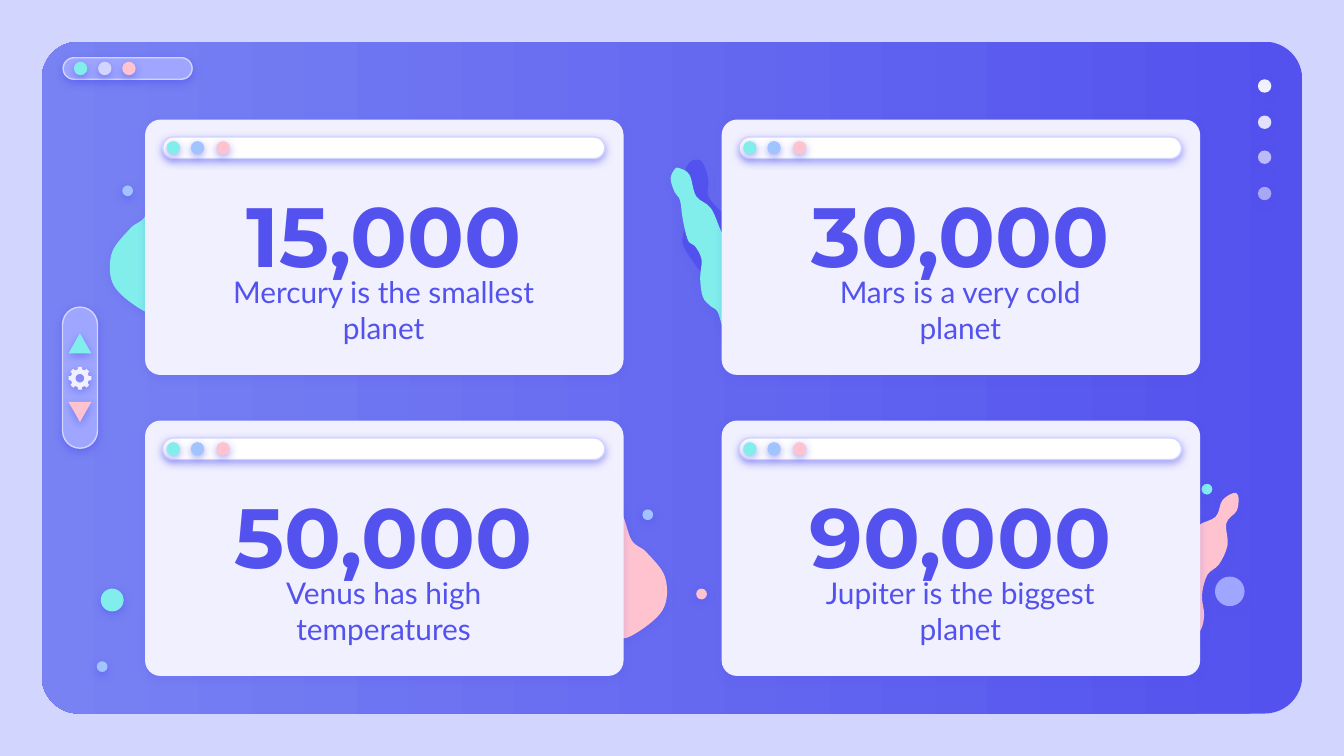
"""Builds a slide of four planet figures, each in a small browser window."""
import math
from dataclasses import dataclass

from lxml import etree
from pptx import Presentation
from pptx import util as u
from pptx.dml.color import RGBColor
from pptx.enum import shapes, text
from pptx.oxml.ns import qn

SHAPE = shapes.MSO_SHAPE


@dataclass(frozen=True)
class Theme:
    indigo: str = "5352EE"
    violet: str = "7882F3"
    lilac: str = "9EA6FF"
    sky: str = "A1C3FF"
    mist: str = "D2D6FF"
    pale: str = "F1F0FF"
    white: str = "FFFFFF"
    aqua: str = "81EEEB"
    pink: str = "FFC3D0"
    number_font: str = "Montserrat"
    number_size: int = 45
    caption_font: str = "Lato"
    caption_size: int = 16


T = Theme()

CARDS = [
    (108, 89, "15,000", "Mercury is the smallest planet"),
    (108, 313, "50,000", "Venus has high temperatures"),
    (537, 89, "30,000", "Mars is a very cold planet"),
    (537, 313, "90,000", "Jupiter is the biggest planet"),
]
BLOB_WIDTH = 103
BLOB = [
    (14, 0), (9, 2), (10, 16), (20, 28), (19, 49), (27, 67), (38, 77), (43, 96),
    (41, 115), (45, 130), (58, 140), (73, 139), (96, 120), (98, 96), (84, 77),
    (73, 68), (64, 45), (46, 30), (30, 22), (24, 7),
]
BACK_WAVE = [
    (514, 120), (522, 120), (527, 133), (527, 146), (536, 157), (542, 162),
    (547, 175), (546, 184), (554, 197), (563, 207), (563, 223), (561, 237),
    (563, 244), (560, 249), (553, 251), (540, 244), (536, 230), (534, 219),
    (521, 202), (508, 181), (512, 165), (517, 148), (513, 139), (510, 128),
]
FRONT_WAVE = [
    (505, 125), (513, 130), (518, 146), (529, 155), (537, 173), (546, 190),
    (558, 207), (557, 215), (557, 230), (560, 235), (565, 247), (562, 254),
    (557, 258), (545, 256), (538, 244), (534, 232), (529, 228), (523, 221),
    (521, 207), (522, 193), (517, 183), (512, 179), (508, 163), (506, 149),
    (502, 143), (499, 133), (502, 126),
]


def px(n):
    return u.Emu(round(n * 9144))


def rgb(color):
    return RGBColor.from_string(color)


def set_alpha(color_el, percent):
    etree.SubElement(color_el, qn("a:alpha"), val=str(percent * 1000))


def paint(sp, color, shadow=50, line=None, alpha=100):
    sp.fill.solid()
    sp.fill.fore_color.rgb = rgb(color)
    if alpha < 100:
        set_alpha(sp._element.spPr.find(".//" + qn("a:srgbClr")), alpha)
    if line:
        sp.line.color.rgb = rgb(line)
        sp.line.width = u.Pt(0.75)
    else:
        sp.line.fill.background()
    sp.shadow.inherit = False
    effects = sp._element.spPr.find(qn("a:effectLst"))
    outer = etree.SubElement(
        effects, qn("a:outerShdw"), blurRad=str(u.Pt(4.5)), dist=str(u.Pt(1.5)),
        dir="5400000", algn="bl", rotWithShape="0")
    set_alpha(etree.SubElement(outer, qn("a:srgbClr"), val=T.indigo), shadow)


def add_preset(s, kind, x, y, w, h, color, radius=None, rotation=0, **style):
    sp = s.shapes.add_shape(kind, px(x), px(y), px(w), px(h))
    if radius is not None:
        sp.adjustments[0] = radius
    sp.rotation = rotation
    paint(sp, color, **style)
    return sp


def add_dot(s, x, y, color, size=10, **style):
    return add_preset(s, SHAPE.OVAL, x, y, size, size, color, **style)


def add_pill(s, x, y, w, h, color, rotation=0):
    return add_preset(s, SHAPE.ROUNDED_RECTANGLE, x, y, w, h, color,
                      radius=0.5, rotation=rotation, line=T.mist)


def add_dot_row(s, xs, y, middle):
    for x, color in zip(xs, (T.aqua, middle, T.pink)):
        add_dot(s, x, y, color)


def add_outline(s, contours, color, shadow):
    (first, *rest) = [[(px(x), px(y)) for x, y in c] for c in contours]
    fb = s.shapes.build_freeform(*first[0], scale=1.0)
    fb.add_line_segments(first[1:], close=True)
    for contour in rest:
        fb.move_to(*contour[0])
        fb.add_line_segments(contour[1:], close=True)
    sp = fb.convert_to_shape()
    paint(sp, color, shadow=shadow)
    return sp


def round_off(sp):
    outline = sp._element.spPr.find(".//" + qn("a:path"))
    points = [(int(pt.get("x")), int(pt.get("y"))) for pt in outline.iter(qn("a:pt"))]
    for el in outline[1:]:
        outline.remove(el)
    n = len(points)
    for i in range(n):
        a, b, c, d = (points[(i + k) % n] for k in (-1, 0, 1, 2))
        leave = [q + (r - p) / 6 for p, q, r in zip(a, b, c)]
        arrive = [r - (v - q) / 6 for q, r, v in zip(b, c, d)]
        curve = etree.SubElement(outline, qn("a:cubicBezTo"))
        for x, y in (leave, arrive, c):
            etree.SubElement(curve, qn("a:pt"), x=str(round(x)), y=str(round(y)))
    etree.SubElement(outline, qn("a:close"))


def add_blob(s, x, y, color, scale=1.0, mirrored=False):
    points = [(x + scale * (BLOB_WIDTH - a if mirrored else a), y + scale * b) for a, b in BLOB]
    round_off(add_outline(s, [points], color, shadow=22))


def add_gear(s, cx, cy, teeth=8):
    def polar(radius, degrees):
        a = math.radians(degrees)
        return cx + radius * math.cos(a), cy + radius * math.sin(a)

    step = 360 / teeth
    rim = [polar(r, i * step + a) for i in range(teeth)
           for r, a in ((6.8, -13), (8.6, -10), (8.6, 10), (6.8, 13))]
    hole = [polar(3.3, -a) for a in range(0, 360, 30)]
    add_outline(s, [rim, hole], T.pale, shadow=52)


def add_panel(s):
    sp = add_preset(s, SHAPE.ROUNDED_RECTANGLE, 31, 31, 938, 500, T.indigo, radius=0.056)
    effects = sp._element.spPr.find(qn("a:effectLst"))
    effects.remove(effects[0])
    sp.fill.gradient()
    sp.fill.gradient_angle = 180
    for stop, position, color in zip(sp.fill.gradient_stops, (0, 1), (T.indigo, T.violet)):
        stop.position = position
        stop.color.rgb = rgb(color)


def add_window(s, x, y):
    add_preset(s, SHAPE.ROUNDED_RECTANGLE, x, y, 356, 190, T.pale, radius=0.06, shadow=19)
    add_pill(s, x + 13, y + 13, 329, 16, T.white)
    add_dot_row(s, (x + 16, x + 34, x + 53), y + 16, T.sky)


def write(sp, x, y, w, h, words, font, size, bold=False):
    sp.left, sp.top, sp.width, sp.height = map(px, (x, y, w, h))
    tf = sp.text_frame
    tf.word_wrap = True
    tf.auto_size = text.MSO_AUTO_SIZE.NONE
    tf.vertical_anchor = text.MSO_ANCHOR.MIDDLE
    tf.margin_left = tf.margin_right = tf.margin_top = tf.margin_bottom = px(10)
    p = tf.paragraphs[0]
    p.text = words
    p.alignment = text.PP_ALIGN.CENTER
    p.font.name, p.font.size, p.font.bold = font, u.Pt(size), bold
    p.font.color.rgb = rgb(T.indigo)


def add_box(s):
    return s.shapes.add_textbox(0, 0, 0, 0)


def add_decorations(s):
    for wave, color in ((BACK_WAVE, T.indigo), (FRONT_WAVE, T.aqua)):
        round_off(add_outline(s, [wave], color, shadow=18))
    add_blob(s, 397, 334, T.pink)
    add_blob(s, 847, 367, T.pink, scale=0.79, mirrored=True)
    add_blob(s, 78, 93, T.aqua, mirrored=True)
    for x, y, size, color in (
            (72, 492, 8, T.sky), (75, 438, 17, T.aqua), (478, 379, 8, T.sky), (518, 438, 8, T.pink),
            (904, 429, 22, T.lilac), (894, 360, 8, T.aqua), (91, 138, 8, T.sky)):
        add_dot(s, x, y, color, size)


def add_controls(s):
    add_pill(s, 7, 268, 105, 26, T.lilac, rotation=90)
    for y, color, rotation in ((248, T.aqua, 0), (299, T.pink, 180)):
        add_preset(s, SHAPE.ISOSCELES_TRIANGLE, 51, y, 17, 15, color, rotation=rotation)
    add_gear(s, 59.5, 281.5)


def main():
    prs = Presentation()
    prs.slide_width = px(1000)
    prs.slide_height = prs.slide_width * 9 // 16
    s = prs.slides.add_slide(prs.slide_layouts[5])
    s.background.fill.solid()
    s.background.fill.fore_color.rgb = rgb(T.mist)
    add_panel(s)
    add_pill(s, 47, 43, 96, 16, T.lilac)
    add_dot_row(s, (55, 73, 91), 46, T.mist)
    for y, alpha in ((59, 100), (86, 90), (112, 67), (139, 54)):
        add_dot(s, 936, y, T.pale, alpha=alpha)
    add_decorations(s)
    for x, y, *_ in CARDS:
        add_window(s, x, y)
    title = s.shapes.title
    s.shapes._spTree.append(title._element)
    for i, (x, y, number, caption) in enumerate(CARDS):
        write(add_box(s) if i else title, x + 45, y + 61, 265, 48, number,
              T.number_font, T.number_size, bold=True)
        write(add_box(s), x + 45, y + 125, 265, 33, caption, T.caption_font, T.caption_size)
    add_controls(s)
    prs.save("out.pptx")


if __name__ == "__main__":
    main()
